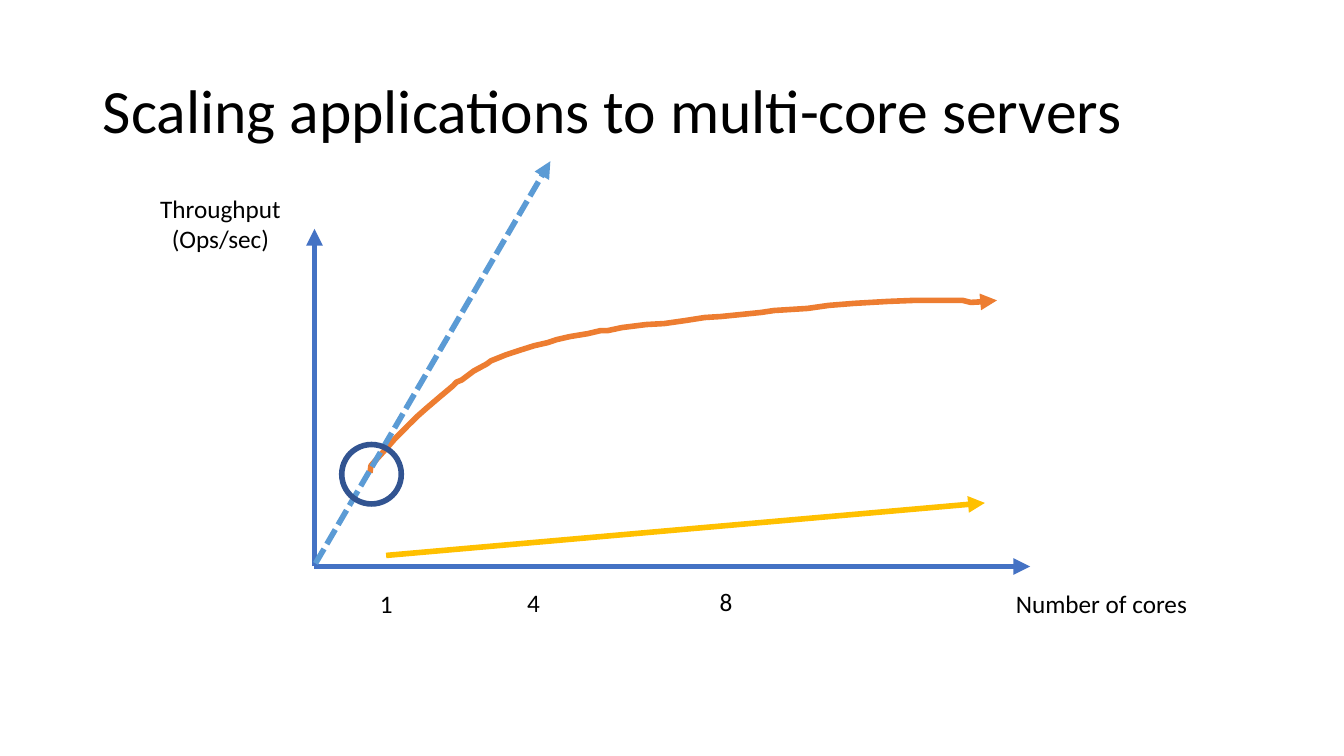
from pptx import Presentation
from pptx import util as u
from pptx.dml.color import RGBColor
from pptx.enum import dml, shapes, text
from pptx.oxml.ns import qn
from lxml import etree

# Positions and sizes are percentages of the slide's width and height
WIDTH, HEIGHT = u.Inches(13.33), u.Inches(7.5)
FONT = "Calibri"
BLACK, BLUE, NAVY = "000000", "4472C4", "325491"
ORANGE, GOLD, SKY = "ED7D31", "FFC000", "5B9BD5"
ORIGIN = (23.4, 74.93)

SUBLINEAR_CURVE = [
    (27.53, 62.53), (27.6, 61.6), (28.13, 60.53), (28.88, 59.07), (29.4, 58),
    (30.45, 56.13), (31.05, 55.07), (31.73, 54), (32.7, 52.53), (33.68, 51.07),
    (33.98, 50.53), (34.35, 50.27), (35.25, 49.07), (36.23, 48.13), (36.53, 47.73),
    (37.65, 46.93), (38.55, 46.4), (39.75, 45.73), (40.73, 45.33), (41.4, 44.93),
    (42.38, 44.53), (43.73, 44.13), (44.7, 43.73), (45.23, 43.73), (46.28, 43.33),
    (48.08, 42.93), (49.43, 42.8), (51, 42.4), (52.43, 42), (53.63, 41.87),
    (55.13, 41.6), (56.63, 41.33), (57.6, 41.07), (60.08, 40.8), (61.65, 40.4),
    (63.53, 40.13), (66.08, 39.87), (68.03, 39.73), (71.63, 39.73), (72.23, 40),
    (73.58, 39.87), (74.18, 39.73),
]


def across(share):
    return round(WIDTH * share / 100)


def down(share):
    return round(HEIGHT * share / 100)


def area(left, top, width, height):
    return across(left), down(top), across(width), down(height)


def color(value):
    return RGBColor.from_string(value)


def style_line(shape, value, arrow=True):
    shape.line.color.rgb = color(value)
    shape.line.width = u.Pt(4)
    if arrow:
        outline = shape.line._get_or_add_ln()
        etree.SubElement(outline, qn("a:round"))
        etree.SubElement(outline, qn("a:tailEnd"), type="triangle")


def add_span(para, words, size):
    span = para.add_run()
    span.text = words
    span.font.name = FONT
    span.font.size = u.Pt(size)
    span.font.color.rgb = color(BLACK)


def set_title(page, words):
    title = page.shapes.title
    title.left, title.top, title.width, title.height = area(6.9, 5.33, 86.25, 19.33)
    frame = title.text_frame
    frame.auto_size = text.MSO_AUTO_SIZE.NONE
    frame.vertical_anchor = text.MSO_ANCHOR.MIDDLE
    para = frame.paragraphs[0]
    para.alignment = text.PP_ALIGN.LEFT
    para.line_spacing = 0.9
    add_span(para, words, 44)


def add_label(page, place, *lines):
    frame = page.shapes.add_textbox(*area(*place)).text_frame
    frame.word_wrap = False
    frame.auto_size = text.MSO_AUTO_SIZE.SHAPE_TO_FIT_TEXT
    for index, words in enumerate(lines):
        para = frame.add_paragraph() if index else frame.paragraphs[0]
        para.alignment = text.PP_ALIGN.CENTER if index else text.PP_ALIGN.LEFT
        add_span(para, words, 18)


def add_arrow(page, start, end, value, dotted=False):
    arrow = page.shapes.add_connector(
        shapes.MSO_CONNECTOR.STRAIGHT,
        across(start[0]), down(start[1]), across(end[0]), down(end[1]))
    if dotted:
        arrow.line.dash_style = dml.MSO_LINE.SQUARE_DOT
    style_line(arrow, value)
    etree.SubElement(arrow._element.spPr, qn("a:effectLst"))


def add_curve(page, points, value):
    vertices = [(across(x), down(y)) for x, y in points]
    builder = page.shapes.build_freeform(*vertices[0])
    builder.add_line_segments(vertices[1:], close=False)
    curve = builder.convert_to_shape()
    curve.shadow.inherit = False
    curve.fill.background()
    style_line(curve, value)


def add_ring(page, place, value):
    ring = page.shapes.add_shape(shapes.MSO_SHAPE.OVAL, *area(*place))
    ring.shadow.inherit = False
    ring.fill.background()
    style_line(ring, value, arrow=False)


def main():
    deck = Presentation()
    deck.slide_width, deck.slide_height = WIDTH, HEIGHT
    page = deck.slides.add_slide(deck.slide_layouts[5])
    set_title(page, "Scaling applications to multi-core servers")

    # Axes and their names
    add_arrow(page, ORIGIN, (ORIGIN[0], 30.27), BLUE)
    add_arrow(page, ORIGIN, (76.65, ORIGIN[1]), BLUE)
    add_label(page, (74.85, 77.2, 14.4, 5.33), "Number of cores")
    add_label(page, (11.18, 24.93, 10.58, 9.47), "Throughput", "(Ops/sec)")

    # Measured curve and core counts
    add_curve(page, SUBLINEAR_CURVE, ORANGE)
    for count, left, top in (("1", 27.53, 77.2), ("4", 38.48, 77.07), ("8", 52.8, 76.93)):
        add_label(page, (left, top, 2.48, 5.33), count)

    # Slow and ideal scaling, with the single-core point ringed
    add_arrow(page, (28.73, 73.47), (73.28, 66.53), GOLD)
    add_arrow(page, (23.48, 74.53), (40.95, 21.33), SKY, dotted=True)
    add_ring(page, (25.43, 58.8, 4.43, 7.87), NAVY)

    deck.save("out.pptx")


if __name__ == "__main__":
    main()
